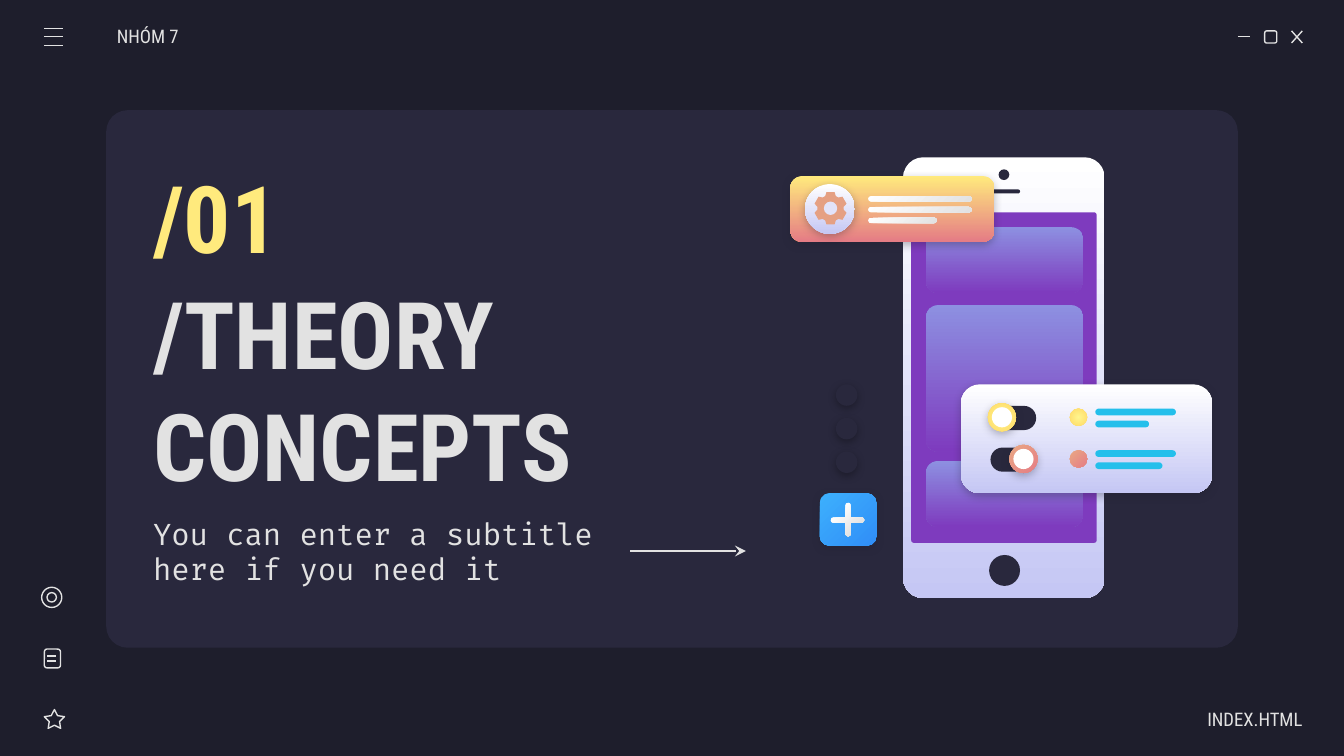
import math
from dataclasses import dataclass
from typing import Optional, Union

from lxml import etree
from pptx import Presentation
from pptx import util as u
from pptx.dml.color import RGBColor
from pptx.enum import shapes, text
from pptx.oxml.ns import qn

PX = 9144  # 100 px to the inch
WIDTH = 1000 * PX
RECT = shapes.MSO_SHAPE.ROUNDED_RECTANGLE
OVAL = shapes.MSO_SHAPE.OVAL
STAR = shapes.MSO_SHAPE.STAR_5_POINT


@dataclass(frozen=True)
class Gradient:
    start: str
    end: str
    angle: Optional[int] = 90  # clockwise; None is radial


Fill = Union[str, Gradient, None]


@dataclass(frozen=True)
class Theme:
    page: str = "1E1E2C"
    panel: str = "29283D"
    ink: str = "E2E2E2"
    number: str = "FFEA7D"
    screen: str = "7E3BBE"
    white: str = "FFFFFF"
    gear: str = "E5A083"
    gear_hole: str = "E2E3FA"
    bar: str = "24BFEB"
    pale: Gradient = Gradient("FFFFFF", "C5C7F4")
    tile: Gradient = Gradient("8D90E1", "7E3BBE")
    sunset: Gradient = Gradient("FFEA7D", "E57C85")
    silver: Gradient = Gradient("FFFFFF", "E2E2E2", 45)
    sun: Gradient = Gradient("FFF68E", "FFD966", None)
    coral: Gradient = Gradient("E9A984", "E57C85", 45)
    sky: Gradient = Gradient("3DB0FD", "308EF7", 45)
    head_font: str = "Roboto Condensed"
    body_font: str = "Fira Code"
    head_size: int = 50
    body_size: int = 16
    small_size: int = 10
    stroke: float = 0.75


T = Theme()


@dataclass(frozen=True)
class Box:
    x: int
    y: int
    w: int
    h: int
    fill: Fill = None  # no fill means an outlined icon part
    radius: float = 0
    kind: shapes.MSO_SHAPE = RECT
    shadow: Optional[str] = None


@dataclass(frozen=True)
class Label:
    words: str
    x: int
    y: int
    w: int
    h: int
    size: int
    font: str = T.head_font
    color: str = T.ink
    bold: bool = False
    align: text.PP_ALIGN = text.PP_ALIGN.LEFT
    left: int = 10
    right: int = 10


@dataclass(frozen=True)
class Toggle:
    y: int
    knob_x: int
    color: Gradient
    second_bar: int


def rgb(value: str) -> RGBColor:
    return RGBColor.from_string(value)


def paint(sp, fill: Fill, shadow: Optional[str] = None) -> None:
    if fill is None:
        sp.fill.background()
        sp.line.color.rgb = rgb(T.ink)
        sp.line.width = u.Pt(T.stroke)
    else:
        sp.line.fill.background()
    if isinstance(fill, str):
        sp.fill.solid()
        sp.fill.fore_color.rgb = rgb(fill)
    elif isinstance(fill, Gradient):
        sp.fill.gradient()
        sp.fill.gradient_angle = 360 - (fill.angle or 0)
        for stop, color in zip(sp.fill.gradient_stops, (fill.start, fill.end)):
            stop.color.rgb = rgb(color)
        if fill.angle is None:
            grad = sp._element.spPr.find(qn("a:gradFill"))
            grad.remove(grad.find(qn("a:lin")))
            radial = etree.SubElement(grad, qn("a:path"), path="circle")
            etree.SubElement(radial, qn("a:fillToRect"), {side: "50000" for side in "ltrb"})
    sp.shadow.inherit = False
    if shadow:
        effects = sp._element.spPr.find(qn("a:effectLst"))
        outer = etree.SubElement(effects, qn("a:outerShdw"), blurRad="57150", dist="19050",
                                 dir="5400000", algn="bl", rotWithShape="0")
        color = etree.SubElement(outer, qn("a:srgbClr"), val=shadow)
        etree.SubElement(color, qn("a:alpha"), val="30000")


def draw_box(s, b: Box) -> None:
    sp = s.shapes.add_shape(b.kind, b.x * PX, b.y * PX, b.w * PX, b.h * PX)
    if b.kind == RECT:
        sp.adjustments[0] = b.radius / min(b.w, b.h)
    elif b.kind == STAR:
        sp.adjustments[0] = 0.254
    paint(sp, b.fill, b.shadow)


def draw_circle(s, x: int, y: int, d: int, fill: Fill = None, shadow: Optional[str] = None) -> None:
    draw_box(s, Box(x, y, d, d, fill, kind=OVAL, shadow=shadow))


def draw_line(s, x1: int, y1: int, x2: int, y2: int, arrow: bool = False) -> None:
    line = s.shapes.add_connector(shapes.MSO_CONNECTOR.STRAIGHT, x1 * PX, y1 * PX, x2 * PX, y2 * PX)
    line.line.color.rgb = rgb(T.ink)
    line.line.width = u.Pt(T.stroke)
    if arrow:
        etree.SubElement(line.line._get_or_add_ln(), qn("a:tailEnd"), type="stealth")
    etree.SubElement(line._element.spPr, qn("a:effectLst"))


def draw_gear(s, cx: int, cy: int) -> None:
    """Six equal teeth around a round hole."""
    tooth = ((-4, -9), (-3, -12), (3, -12), (4, -9))
    points = []
    for k in range(6):
        c, n = math.cos(k * math.pi / 3), math.sin(k * math.pi / 3)
        points += [(round((cx + x * c - y * n) * PX), round((cy + x * n + y * c) * PX))
                   for x, y in tooth]
    outline = s.shapes.build_freeform(*points[0], scale=1.0)
    outline.add_line_segments(points[1:], close=True)
    paint(outline.convert_to_shape(), T.gear)
    draw_circle(s, cx - 5, cy - 5, 10, T.gear_hole)


def write(sp, label: Label) -> None:
    sp.left, sp.top, sp.width, sp.height = (v * PX for v in (label.x, label.y, label.w, label.h))
    tf = sp.text_frame
    tf.text = label.words
    tf.word_wrap = True
    tf.auto_size = text.MSO_AUTO_SIZE.NONE
    tf.vertical_anchor = text.MSO_ANCHOR.MIDDLE
    tf.margin_left, tf.margin_right = label.left * PX, label.right * PX
    tf.margin_top = tf.margin_bottom = 10 * PX
    p = tf.paragraphs[0]
    p.alignment = label.align
    p.line_spacing = 1.0
    p.font.name, p.font.size, p.font.bold = label.font, u.Pt(label.size), label.bold
    p.font.color.rgb = rgb(label.color)


def draw_frame(s) -> None:
    """Card, window buttons, menu and side icons."""
    draw_box(s, Box(79, 82, 842, 400, T.panel, 16))
    for y in (21, 27, 34):
        draw_line(s, 33, y, 47, y)
    for ends in ((921, 27, 930, 27), (961, 23, 969, 32), (969, 23, 961, 32)):
        draw_line(s, *ends)
    draw_box(s, Box(941, 23, 9, 9, radius=1.5))
    draw_box(s, Box(33, 528, 15, 14, kind=STAR))
    draw_box(s, Box(33, 483, 12, 14, radius=2))
    for y in (488, 492):
        draw_line(s, 35, y, 42, y)
    draw_circle(s, 31, 437, 15)
    draw_circle(s, 35, 441, 7)


def draw_phone(s) -> None:
    draw_box(s, Box(672, 117, 150, 328, T.pale, 15))
    draw_box(s, Box(678, 158, 138, 246, T.screen, 2))
    for y, h in ((169, 49), (227, 109), (343, 49)):
        draw_box(s, Box(689, y, 117, h, T.tile, 9))
    draw_circle(s, 743, 126, 8, T.panel)
    draw_box(s, Box(735, 141, 24, 3, T.panel, 1.5))
    draw_circle(s, 736, 413, 23, T.panel)


def draw_settings(s) -> None:
    draw_box(s, Box(588, 131, 152, 49, T.sunset, 9, shadow=T.page))
    draw_circle(s, 599, 137, 37, T.pale, T.page)
    draw_gear(s, 618, 155)
    for i, w in enumerate((77, 77, 51)):
        draw_box(s, Box(646, 146 + 8 * i, w, 4, T.silver, 2))


def draw_toggle(s, t: Toggle) -> None:
    draw_box(s, Box(737, t.y + 2, 34, 18, T.panel, 9))
    draw_circle(s, t.knob_x, t.y, 21, t.color, T.page)
    draw_circle(s, t.knob_x + 3, t.y + 3, 15, T.white)
    draw_circle(s, 796, t.y + 4, 13, t.color)
    for y, w in ((4, 60), (13, t.second_bar)):
        draw_box(s, Box(815, t.y + y, w, 5, T.bar, 2.5))


def draw_add_button(s) -> None:
    draw_box(s, Box(610, 367, 42, 39, T.sky, 7, shadow=T.page))
    draw_box(s, Box(618, 385, 25, 4, T.silver, 2))
    draw_box(s, Box(629, 374, 4, 25, T.silver, 2))
    for y in (286, 311, 336):
        draw_circle(s, 622, y, 16, T.panel, "000000")


def main() -> None:
    prs = Presentation()
    prs.slide_width, prs.slide_height = WIDTH, WIDTH * 9 // 16
    s = prs.slides.add_slide(prs.slide_layouts[5])
    s.background.fill.solid()
    s.background.fill.fore_color.rgb = rgb(T.page)

    draw_frame(s)
    title = s.shapes.title
    s.shapes._spTree.append(title._element)  # bring in front of the card
    write(title, Label("/THEORY CONCEPTS", 104, 207, 430, 164, T.head_size, bold=True))
    for label in (
        Label("NHÓM 7", 87, 12, 117, 30, T.small_size, left=0),
        Label("INDEX.HTML", 852, 520, 117, 30, T.small_size, align=text.PP_ALIGN.RIGHT, right=0),
        Label("/01", 104, 115, 178, 92, T.head_size, color=T.number, bold=True),
        Label("You can enter a subtitle here if you need it", 104, 371, 399, 78,
              T.body_size, T.body_font),
    ):
        write(s.shapes.add_textbox(0, 0, PX, PX), label)
    draw_line(s, 469, 410, 555, 410, arrow=True)

    draw_phone(s)
    draw_settings(s)
    draw_box(s, Box(715, 286, 187, 81, T.pale, 14, shadow=T.page))
    for toggle in (Toggle(300, 735, T.sun, 40), Toggle(331, 751, T.coral, 50)):
        draw_toggle(s, toggle)
    draw_add_button(s)
    prs.save("out.pptx")


if __name__ == "__main__":
    main()
